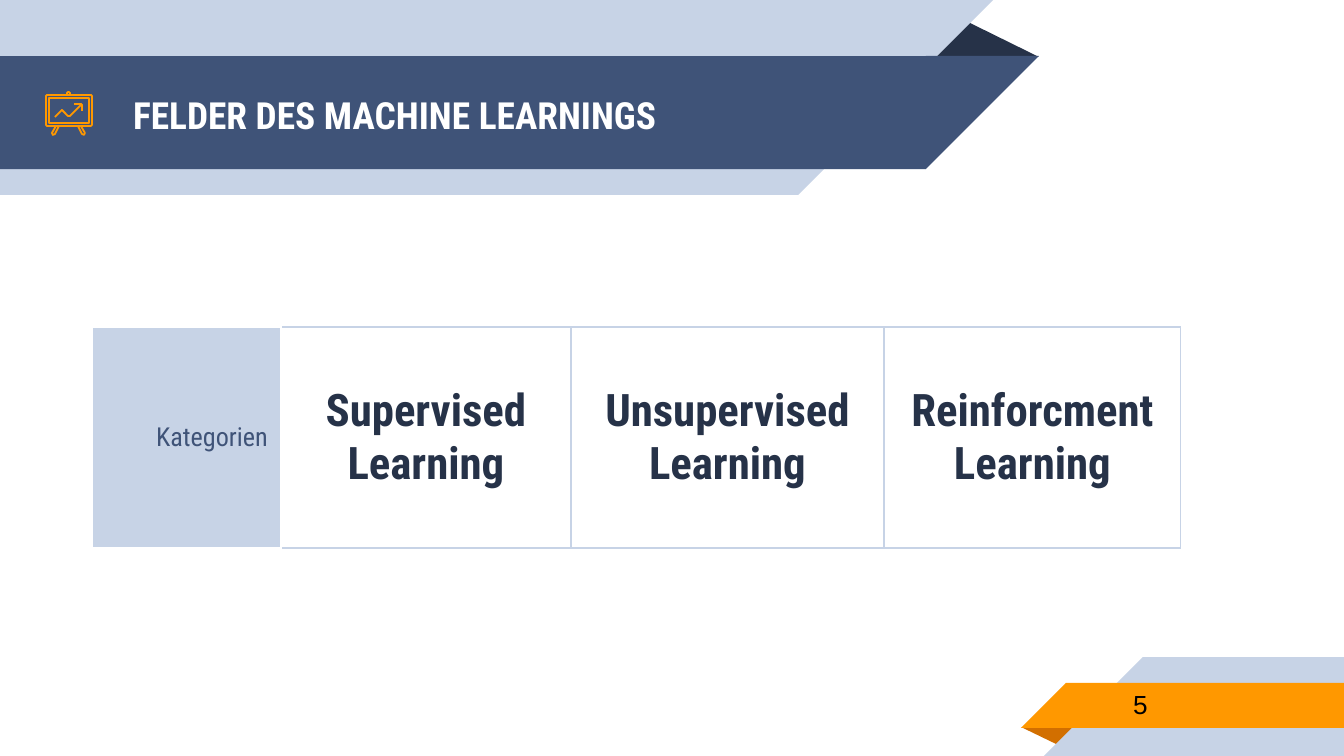
from lxml import etree
from pptx import Presentation
from pptx import util as u
from pptx.dml import color as c
from pptx.enum import shapes as s
from pptx.enum import text as t
from pptx.oxml import ns

SCALE = 914400 / 134.4
CONDENSED = "Roboto Condensed"
PALE, NAVY, DARK = "C7D3E6", "3F5378", "263248"
ORANGE, RUST, WHITE, BLACK = "FF9800", "D26F00", "FFFFFF", "000000"


def px(length):
    return u.Emu(round(length * SCALE))


def paint(target, value):
    target.solid()
    target.fore_color.rgb = c.RGBColor.from_string(value)


def add_preset(page, kind, box, color, rotation=0, flip=False):
    shape = page.shapes.add_shape(kind, *map(px, box))
    shape.shadow.inherit = False
    paint(shape.fill, color)
    shape.line.fill.background()
    shape.rotation = rotation
    if flip:
        shape._element.spPr.find(ns.qn("a:xfrm")).set("flipH", "1")
    return shape


def add_band(page, box, color, at_top):
    left, top, width, height = box
    body = width - height
    body_left, tip_left = (left, left + body) if at_top else (left + height, left)
    rotation = 180 if at_top else 0
    add_preset(page, s.MSO_SHAPE.RECTANGLE, (body_left, top, body, height), color, rotation, True)
    add_preset(page, s.MSO_SHAPE.RIGHT_TRIANGLE, (tip_left, top, height, height), color, rotation, True)


def add_fold(page, box, color, rotation=0):
    fold = add_preset(page, s.MSO_SHAPE.ISOSCELES_TRIANGLE, box, color, rotation)
    fold.adjustments[0] = 0.324


def format_text(frame, size, color, font, bold=False, align=t.PP_ALIGN.LEFT):
    for para in frame.paragraphs:
        para.alignment = align
        for span in para.runs:
            span.font.size = u.Pt(size)
            span.font.name = font
            span.font.bold = bold
            span.font.color.rgb = c.RGBColor.from_string(color)


def add_label(page, box, wording, size, color, font, bold=False):
    frame = page.shapes.add_textbox(*map(px, box)).text_frame
    frame.word_wrap = True
    frame.vertical_anchor = t.MSO_ANCHOR.MIDDLE
    frame.margin_left = frame.margin_right = px(13)
    frame.margin_top = frame.margin_bottom = px(13)
    frame.text = wording
    format_text(frame, size, color, font, bold)


def add_outline(page, origin, points, close):
    left, top = origin
    spots = [(px(left + x), px(top + y)) for x, y in points]
    builder = page.shapes.build_freeform(*spots[0], scale=1.0)
    builder.add_line_segments(spots[1:], close=close)
    outline = builder.convert_to_shape()
    outline.shadow.inherit = False
    outline.fill.background()
    paint(outline.line.fill, ORANGE)
    outline.line.width = u.Pt(0.96)


def add_easel(page, origin):
    board = [(1, 3), (45, 3), (46, 4), (46, 33), (45, 34), (1, 34), (0, 33), (0, 4)]
    screen = [(3, 6), (43, 6), (43, 31), (3, 31)]
    knob = [(24, 3), (24, 1), (23, 0), (22, 0), (21, 1), (21, 3)]
    left_leg = [(10, 34), (6, 41), (7, 43), (9, 42), (13, 34)]
    right_leg = [(45 - x, y) for x, y in left_leg]
    trend = [(35, 13), (24, 24), (22, 24), (16, 18), (9, 25)]
    arrow = [(28, 12), (35, 12), (36, 13), (36, 19)]
    for points in (board, screen):
        add_outline(page, origin, points, True)
    for points in (knob, left_leg, right_leg, trend, arrow):
        add_outline(page, origin, points, False)


def set_borders(cell, colors):
    properties = cell._tc.get_or_add_tcPr()
    for index, (side, color) in enumerate(zip("LRTB", colors)):
        line = etree.Element(ns.qn(f"a:ln{side}"), w=str(u.Pt(0.75)))
        fill = etree.SubElement(line, ns.qn("a:solidFill"))
        etree.SubElement(fill, ns.qn("a:srgbClr"), val=color)
        properties.insert(index, line)


def add_categories(page, box, widths, wordings):
    table = page.shapes.add_table(1, len(widths), *map(px, box)).table
    table.first_row = table.horz_banding = False
    table.rows[0].height = px(box[3])
    for index, (width, wording) in enumerate(zip(widths, wordings)):
        table.columns[index].width = px(width)
        cell = table.cell(0, index)
        cell.vertical_anchor = t.MSO_ANCHOR.MIDDLE
        cell.margin_left = cell.margin_right = px(13)
        cell.margin_top = cell.margin_bottom = px(9)
        cell.text_frame.text = wording
        if index == 0:
            paint(cell.fill, PALE)
            set_borders(cell, [WHITE] * 4)
            format_text(cell.text_frame, 14, NAVY, CONDENSED, align=t.PP_ALIGN.RIGHT)
        else:
            cell.fill.background()
            set_borders(cell, [WHITE if index == 1 else PALE] + [PALE] * 3)
            format_text(cell.text_frame, 24, DARK, CONDENSED, True, t.PP_ALIGN.CENTER)


def add_header(page, box, title):
    left, top, width, height = box
    add_fold(page, (left + 925, top + 19, 114, 38), DARK)
    add_band(page, (left, top, width - 46, height), PALE, True)
    add_band(page, (left, top + 56, width, 113), NAVY, True)
    add_label(page, (left + 120, top + 58, 773, 113), title, 20, WHITE, CONDENSED, True)
    add_easel(page, (left + 46, top + 92))


def add_footer(page, box, number):
    left, top, width, height = box
    add_fold(page, (left, top + 70, 58, 19), RUST, 180)
    add_band(page, (left + 23, top, width - 23, height), PALE, False)
    add_band(page, (left, top + 26, width, 45), ORANGE, False)
    add_label(page, (left + 99, top + 24, 219, 47), number, 14, BLACK, "Arial")


def main():
    deck = Presentation()
    deck.slide_width, deck.slide_height = px(1344), px(756)
    page = deck.slides.add_slide(deck.slide_layouts[6])
    add_header(page, (0, 0, 1039, 195), "FELDER DES MACHINE LEARNINGS")
    add_footer(page, (1021, 657, 323, 99), "5")
    add_categories(
        page,
        (92, 327, 1089, 221),
        (189, 290, 313, 297),
        ("Kategorien", "Supervised\nLearning", "Unsupervised Learning", "Reinforcment\nLearning"),
    )
    deck.save("out.pptx")


if __name__ == "__main__":
    main()
